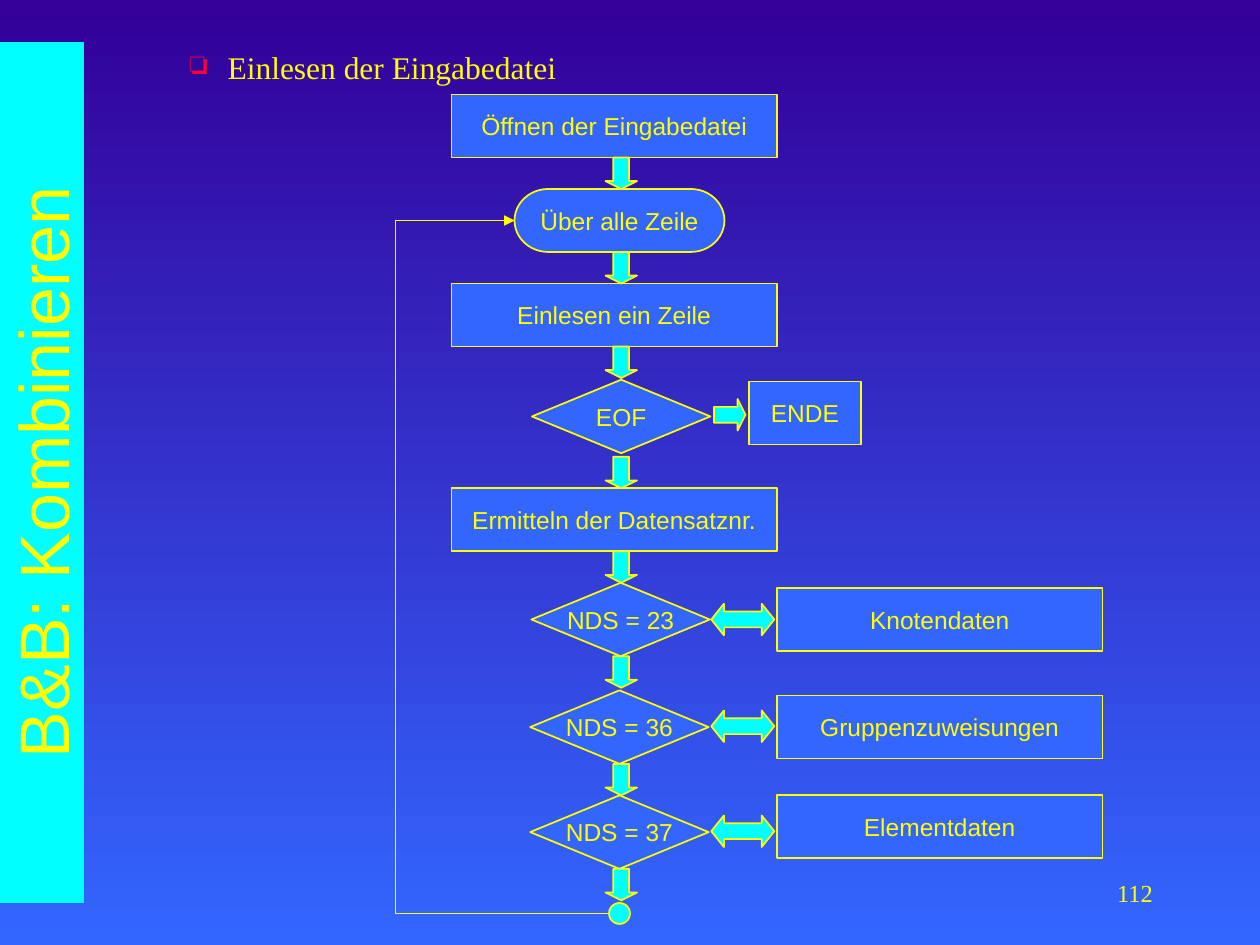
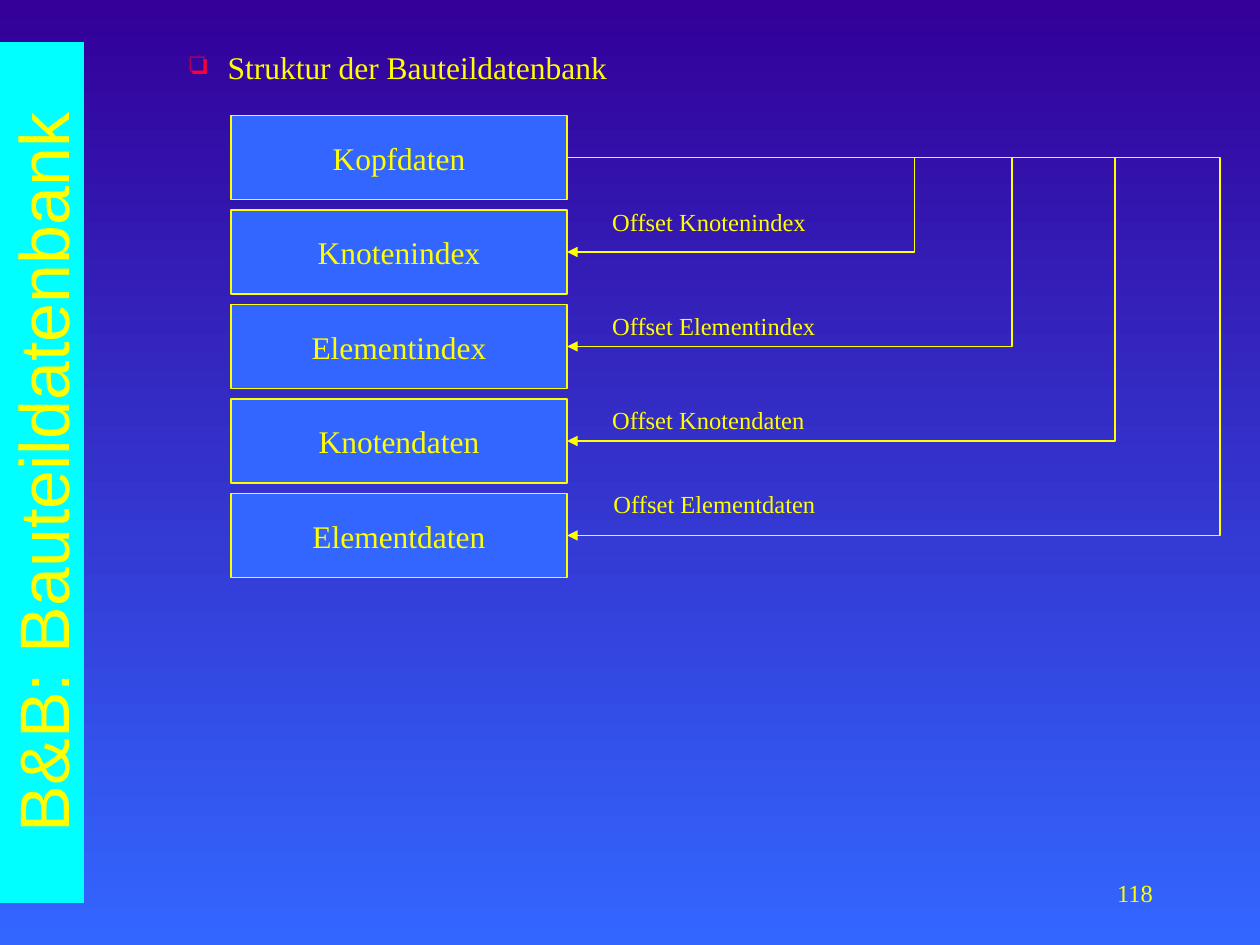
from lxml import etree
from pptx import Presentation
from pptx.dml.color import RGBColor
from pptx.enum import shapes, text
from pptx.oxml.ns import qn
from pptx.util import Pt

YELLOW, CYAN, BLUE, INDIGO, RED = "FFFF00", "00FFFF", "3366FF", "330099", "FF0033"
SANS, SERIF = "Arial", "Times New Roman"
KIND = shapes.MSO_SHAPE
ALIGN, ANCHOR = text.PP_ALIGN, text.MSO_ANCHOR
rgb = RGBColor.from_string


def put(slide, kind, x, y, w, h, words="", fill=BLUE, line=YELLOW, font=SANS, size=14,
        align=ALIGN.CENTER, anchor=ANCHOR.MIDDLE, wrap=False, bullet=None):
    """Add a shape, or a text box when kind is None, with its text."""
    frame = [Pt(v) for v in (x, y, w, h)]
    if kind is None:
        item = slide.shapes.add_textbox(*frame)
    else:
        item = slide.shapes.add_shape(kind, *frame)
        item.shadow.inherit = False
        item.fill.solid()
        item.fill.fore_color.rgb = rgb(fill)
        if line:
            item.line.color.rgb = rgb(line)
            item.line.width = Pt(1)
        else:
            item.line.fill.background()
    if words:
        body = item.text_frame
        body.word_wrap, body.vertical_anchor = wrap, anchor
        para = body.paragraphs[0]
        para.text, para.alignment = words, align
        if bullet:
            props = para._p.get_or_add_pPr()
            props.set("marL", str(Pt(75)))
            props.set("indent", str(Pt(-21.6)))
            tint = etree.SubElement(props, qn("a:buClr"))
            etree.SubElement(tint, qn("a:srgbClr"), val=RED)
            etree.SubElement(props, qn("a:buChar"), char=bullet)
        run = para.runs[0].font
        run.name, run.size, run.color.rgb = font, Pt(size), rgb(YELLOW)
    return item


def elbow(slide, x1, y1, x2, y2, bend):
    """Add an elbow arrow whose upright part lies at bend times its width."""
    link = slide.shapes.add_connector(shapes.MSO_CONNECTOR.ELBOW, Pt(x1), Pt(y1), Pt(x2), Pt(y2))
    link.line.color.rgb = rgb(YELLOW)
    link.line.width = Pt(1)
    props = link._element.spPr
    guides = props.find(qn("a:prstGeom")).find(qn("a:avLst"))
    etree.SubElement(guides, qn("a:gd"), name="adj1", fmla=f"val {round(bend * 100000)}")
    etree.SubElement(props.find(qn("a:ln")), qn("a:tailEnd"), type="triangle")
    etree.SubElement(props, qn("a:effectLst"))
    return link


prs = Presentation()
prs.slide_width, prs.slide_height = Pt(720), Pt(540)

# Shared frame: background, side title, heading, page number
pages = []
for title, heading, number in [
    ("B&B: Kombinieren", "Einlesen der Eingabedatei", "112"),
    ("B&B: Bauteildatenbank", "Struktur der Bauteildatenbank", "118"),
]:
    page = prs.slides.add_slide(prs.slide_layouts[6])
    backdrop = page.background.fill
    backdrop.gradient()
    backdrop.gradient_angle = 270
    for stop, shade in zip(backdrop.gradient_stops, (INDIGO, BLUE)):
        stop.color.rgb = rgb(shade)
    band = put(page, KIND.RECTANGLE, -222, 246, 492, 48, title, fill=CYAN, line=None,
               size=40, wrap=True)
    band.rotation = 270
    put(page, None, 48, 24, 654, 480, heading, font=SERIF, size=18, align=ALIGN.LEFT,
        anchor=ANCHOR.TOP, wrap=True, bullet="❏")
    put(page, None, 516, 492, 150, 36, number, font=SERIF, align=ALIGN.RIGHT, wrap=True)
    pages.append(page)
flow, database = pages

# Flow chart: steps
for step, y in [("Öffnen der Eingabedatei", 54), ("Einlesen ein Zeile", 162),
                ("Ermitteln der Datensatznr.", 279)]:
    put(flow, KIND.FLOWCHART_PROCESS, 258, y, 186, 36, step)
put(flow, KIND.FLOWCHART_TERMINATOR, 294, 108, 120, 36, "Über alle Zeile")

# Flow chart: record types and the data they lead to
for test, x, y, data, data_y, arrow_y in [
    ("NDS = 23", 303.7, 333, "Knotendaten", 336, 345),
    ("NDS = 36", 303, 394.5, "Gruppenzuweisungen", 397.5, 406),
    ("NDS = 37", 303, 454.5, "Elementdaten", 454.5, 466),
]:
    put(flow, KIND.FLOWCHART_DECISION, x, y, 102, 42, test)
    put(flow, KIND.FLOWCHART_PROCESS, 444, data_y, 186, 36, data)
    both_ways = put(flow, KIND.LEFT_RIGHT_ARROW, 406.5, arrow_y, 36, 18, fill=CYAN)
    both_ways.adjustments[1] = 0.4

# Flow chart: end of file
put(flow, KIND.FLOWCHART_DECISION, 304, 217, 102, 42, "EOF")
put(flow, KIND.FLOWCHART_PROCESS, 428, 218, 64, 36, "ENDE")

# Flow chart: block arrows, the last one turned towards the end box
for x, y, turn in [(346, y, 0) for y in (90, 144, 198, 261, 315, 375, 436.5, 496.5)] + [
        (408, 228, 270)]:
    onward = put(flow, KIND.DOWN_ARROW, x, y, 18, 18, fill=CYAN)
    onward.adjustments[1] = 0.25
    onward.rotation = turn

# Flow chart: loop back to the next line, turned to run from bottom to top
put(flow, KIND.FLOWCHART_CONNECTOR, 348, 516, 12, 12, fill=CYAN)
loop_back = elbow(flow, 294, 126, 348, 522, 2.26)
loop_back._element.spPr.xfrm.set("rot", "10800000")

# Database: stacked sections
PITCH = 54
for i, section in enumerate(["Kopfdaten", "Knotenindex", "Elementindex", "Knotendaten",
                             "Elementdaten"]):
    put(database, KIND.RECTANGLE, 132, 66 + PITCH * i, 192, 48, section, font=SERIF, size=18)

# Database: offsets from the head to each section
SIDE, HEAD_Y, SLIVER = 324, 90, 0.17
for i, (target, bend_x, x, y) in enumerate([
    ("Knotenindex", 522.5, 342.7, 115),
    ("Elementindex", 578.3, 342.7, 174),
    ("Knotendaten", 637, 342.7, 228),
    ("Elementdaten", 697, 343.5, 276),
], start=1):
    elbow(database, SIDE, HEAD_Y, SIDE + SLIVER, HEAD_Y + PITCH * i, (bend_x - SIDE) / SLIVER)
    put(database, None, x, y, 150, 24.5, f"Offset {target}", font=SERIF, align=ALIGN.LEFT,
        anchor=ANCHOR.TOP, wrap=True)

prs.save("out.pptx")
